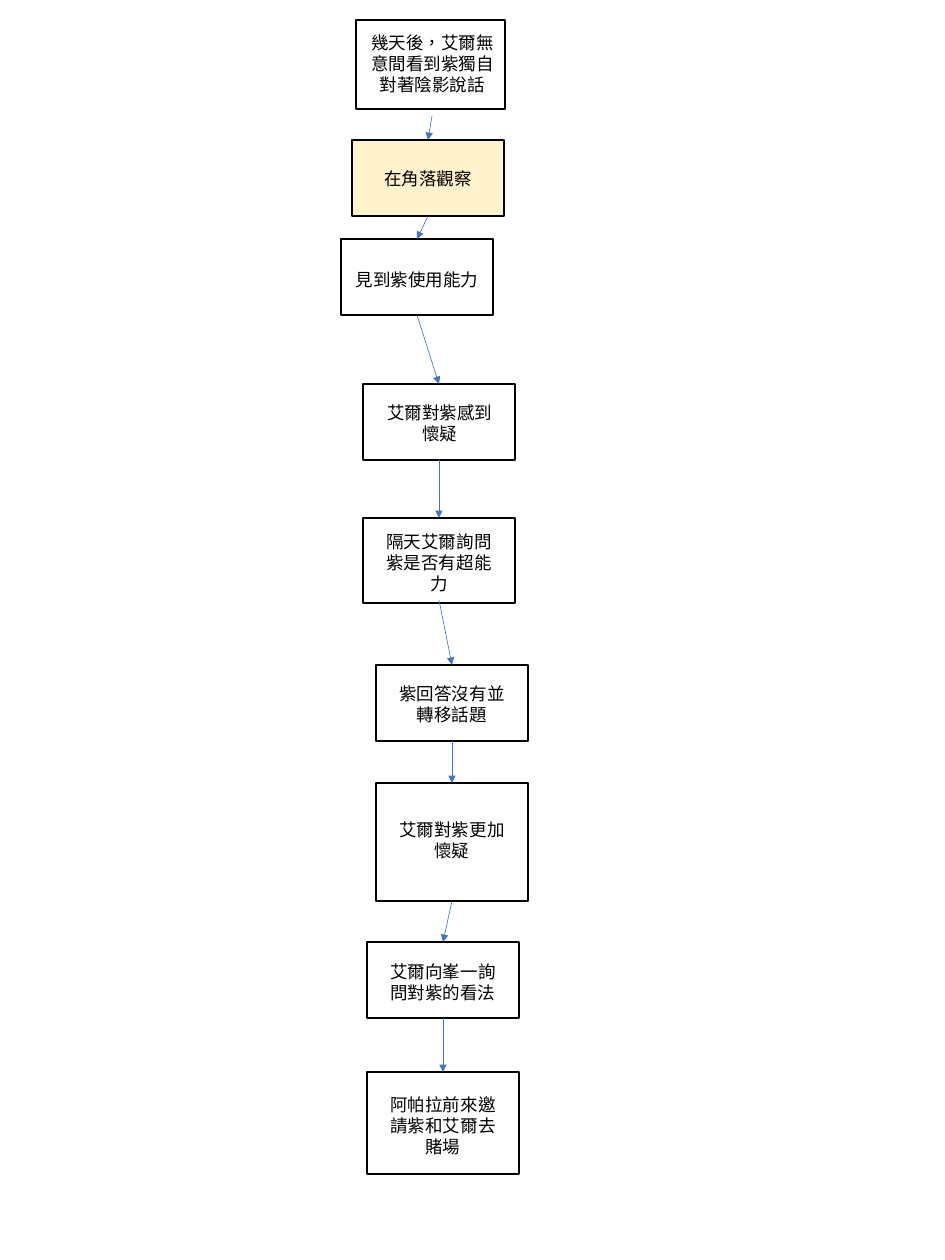
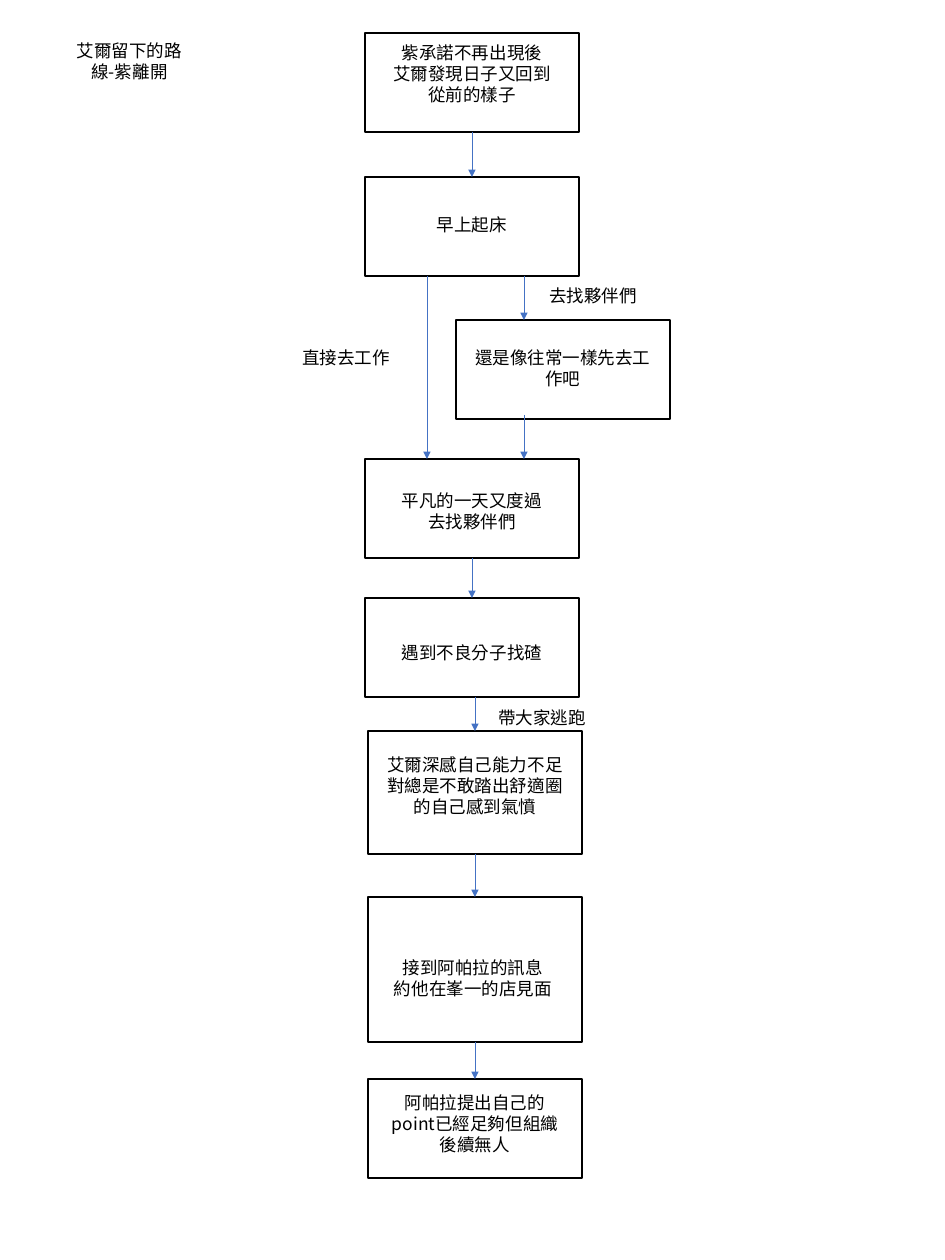
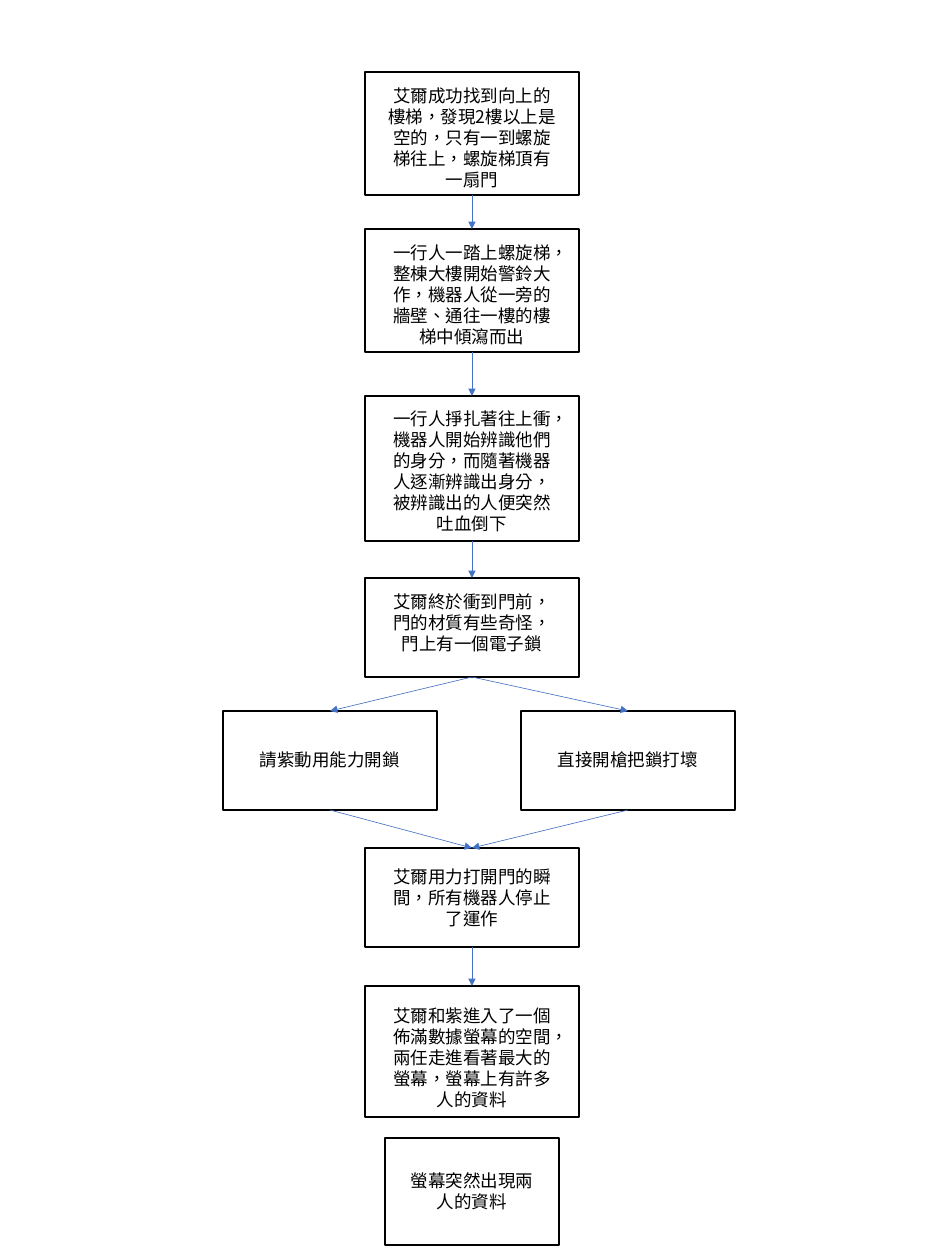
from itertools import pairwise

from lxml.etree import SubElement
from pptx import Presentation
from pptx.dml.color import RGBColor
from pptx.enum.shapes import MSO_CONNECTOR, MSO_SHAPE
from pptx.enum.text import MSO_AUTO_SIZE, PP_ALIGN
from pptx.oxml.ns import qn
from pptx.util import Inches, Pt

PIXEL = Inches(1) // 90
PAGE_WIDTH, PAGE_HEIGHT = 945, 1260

BLACK = RGBColor(0x00, 0x00, 0x00)
WHITE = RGBColor(0xFF, 0xFF, 0xFF)
CREAM = RGBColor(0xFF, 0xF2, 0xCC)
BLUE = RGBColor(0x44, 0x72, 0xC4)

TYPEFACE = "Noto Sans CJK SC"
FONT = {"name": TYPEFACE, "size": Pt(14)}
FRAME = {"word_wrap": True, "auto_size": MSO_AUTO_SIZE.SHAPE_TO_FIT_TEXT}
LINE_HEIGHT, TEXT_PADDING = 21, 10
BOTTOM, TOP = 2, 0  # connection sites of a rectangle


def emu(*pixels):
    """Turn pixel lengths into EMU."""
    return [round(pixel * PIXEL) for pixel in pixels]


def apply(target, values):
    """Set each attribute named in a dict of format values."""
    for key, value in values.items():
        setattr(target, key, value)


class Flowchart:
    """Holds the presentation, the current slide and the shared style."""

    def __init__(self):
        """Start an empty presentation of the right size."""
        self.deck = Presentation()
        self.deck.slide_width, self.deck.slide_height = emu(PAGE_WIDTH, PAGE_HEIGHT)
        self.slide = None

    def new_slide(self):
        """Add a blank slide and make it current."""
        self.slide = self.deck.slides.add_slide(self.deck.slide_layouts[6])

    def label(self, text, left, top, width, lines=1, parent=None):
        """Write centred text, one paragraph for each line of the string."""
        height = LINE_HEIGHT * lines + TEXT_PADDING
        shapes = (parent or self.slide).shapes
        frame = shapes.add_textbox(*emu(left, top, width, height)).text_frame
        apply(frame, FRAME)
        frame.text = text
        for paragraph in frame.paragraphs:
            paragraph.alignment = PP_ALIGN.CENTER
            for run in paragraph.runs:
                apply(run.font, FONT)
                run.font.color.rgb = BLACK
                properties = run._r.get_or_add_rPr()
                properties.set("lang", "zh-TW")
                SubElement(properties, qn("a:ea"), typeface=TYPEFACE)

    def step(self, text, left, top, text_top, lines, width=214, height=99,
             text_width=187, nudge=0, fill=WHITE):
        """Group a framed box with its text and return the box."""
        group = self.slide.shapes.add_group_shape()
        box = group.shapes.add_shape(MSO_SHAPE.RECTANGLE, *emu(left, top, width, height))
        box.shadow.inherit = False
        box.fill.solid()
        box.fill.fore_color.rgb = fill
        box.line.color.rgb = BLACK
        box.line.width = Pt(1)
        text_left = left + (width - text_width) / 2 + nudge
        self.label(text, text_left, text_top, text_width, lines, group)
        return box

    def arrow(self, start_x=0, start_y=0, end_x=0, end_y=0):
        """Draw a thin straight arrow and return it."""
        connector = self.slide.shapes.add_connector(
            MSO_CONNECTOR.STRAIGHT, *emu(start_x, start_y, end_x, end_y))
        connector.line.width = Pt(0.5)
        connector.line.color.rgb = BLUE
        properties = connector._element.spPr
        SubElement(properties.find(qn("a:ln")), qn("a:tailEnd"), type="triangle")
        SubElement(properties, qn("a:effectLst"))
        return connector

    def link(self, *boxes):
        """Join each box to the next, bottom to top."""
        for source, target in pairwise(boxes):
            connector = self.arrow()
            connector.begin_connect(source, BOTTOM)
            connector.end_connect(target, TOP)


def suspicion(chart):
    """Slide 1: 艾爾 grows suspicious of 紫."""
    chart.new_slide()
    narrow = {"width": 152, "height": 76, "text_width": 134}
    chart.step("幾天後，艾爾無意間看到紫獨自對著陰影說話", 356, 20, 28, 3,
               width=149, height=89, text_width=142, nudge=2)
    observe = chart.step("在角落觀察", 352, 140, 164, 1, **narrow, fill=CREAM)
    witness = chart.step("見到紫使用能力", 341, 239, 265, 1, **narrow | {"text_width": 152})
    doubt = chart.step("艾爾對紫感到懷疑", 363, 384, 398, 2, **narrow, nudge=1)
    question = chart.step("隔天艾爾詢問紫是否有超能力", 363, 518, 527, 3,
                          **narrow | {"height": 85})
    denial = chart.step("紫回答沒有並轉移話題", 376, 665, 679, 2, **narrow)
    more_doubt = chart.step("艾爾對紫更加懷疑", 376, 783, 815, 2,
                            **narrow | {"height": 118})
    advice = chart.step("艾爾向峯一詢問對紫的看法", 367, 942, 957, 2, **narrow)
    invitation = chart.step("阿帕拉前來邀請紫和艾爾去賭場", 367, 1072, 1090, 3,
                            **narrow | {"height": 102})
    chart.arrow(432, 116, 428, 140)
    chart.link(observe, witness, doubt, question)
    chart.arrow(439, 600, 452, 665)
    chart.link(denial, more_doubt, advice, invitation)


def departure(chart):
    """Slide 2: the route on which 紫 leaves."""
    chart.new_slide()
    chart.label("艾爾留下的路線-紫離開", 61, 36, 137, 2)
    promise = chart.step("紫承諾不再出現後\n艾爾發現日子又回到從前的樣子", 365, 33, 38, 3,
                         text_width=183)
    morning = chart.step("早上起床", 365, 177, 210, 1, text_width=183)
    ordinary_day = chart.step("平凡的一天又度過\n去找夥伴們", 365, 459, 486, 2,
                              text_width=197)
    trouble = chart.step("遇到不良分子找碴", 365, 598, 638, 1, text_width=183)
    chart.step("還是像往常一樣先去工作吧", 456, 320, 343, 2, text_width=197)
    regret = chart.step("艾爾深感自己能力不足\n對總是不敢踏出舒適圈的自己感到氣憤",
                        368, 731, 750, 3, height=123, text_width=201)
    message = chart.step("接到阿帕拉的訊息\n約他在峯一的店見面", 368, 897, 953, 2,
                         height=145, nudge=-2)
    proposal = chart.step("阿帕拉提出自己的point已經足夠但組織後續無人", 368, 1079, 1088, 3)
    chart.link(promise, morning)
    chart.link(ordinary_day, trouble)
    chart.link(regret, message, proposal)
    chart.arrow(427, 276, 427, 459)
    chart.arrow(524, 276, 524, 320)
    chart.arrow(524, 415, 524, 459)
    chart.arrow(475, 697, 475, 731)
    for choice, left, top in (("直接去工作", 270, 343), ("去找夥伴們", 517, 281),
                              ("帶大家逃跑", 466, 703)):
        chart.label(choice, left, top, 152)


def ascent(chart):
    """Slide 3: the way up to the locked door."""
    chart.new_slide()
    stairs = chart.step("艾爾成功找到向上的樓梯，發現2樓以上是空的，只有一到螺旋梯往上，"
                        "螺旋梯頂有一扇門", 365, 72, 81, 5, height=123)
    alarm = chart.step("一行人一踏上螺旋梯，整棟大樓開始警鈴大作，機器人從一旁的牆壁、"
                       "通往一樓的樓梯中傾瀉而出", 365, 229, 238, 5, height=123)
    struggle = chart.step("一行人掙扎著往上衝，機器人開始辨識他們的身分，而隨著機器人"
                          "逐漸辨識出身分，被辨識出的人便突然吐血倒下",
                          365, 396, 404, 6, height=145)
    door = chart.step("艾爾終於衝到門前，門的材質有些奇怪，門上有一個電子鎖",
                      365, 578, 587, 3)
    unlock = chart.step("請紫動用能力開鎖", 223, 711, 745, 1)
    shoot = chart.step("直接開槍把鎖打壞", 521, 711, 745, 1)
    opening = chart.step("艾爾用力打開門的瞬間，所有機器人停止了運作", 365, 848, 862, 3)
    screens = chart.step("艾爾和紫進入了一個佈滿數據螢幕的空間，兩任走進看著最大的螢幕，"
                         "螢幕上有許多人的資料", 365, 986, 1001, 5, height=131)
    chart.step("螢幕突然出現兩人的資料", 385, 1138, 1166, 2,
               width=174, height=107, text_width=156)
    chart.link(stairs, alarm, struggle, door)
    for choice in (unlock, shoot):
        chart.link(door, choice, opening)
    chart.link(opening, screens)


flowchart = Flowchart()
for draw in (suspicion, departure, ascent):
    draw(flowchart)
flowchart.deck.save("out.pptx")
